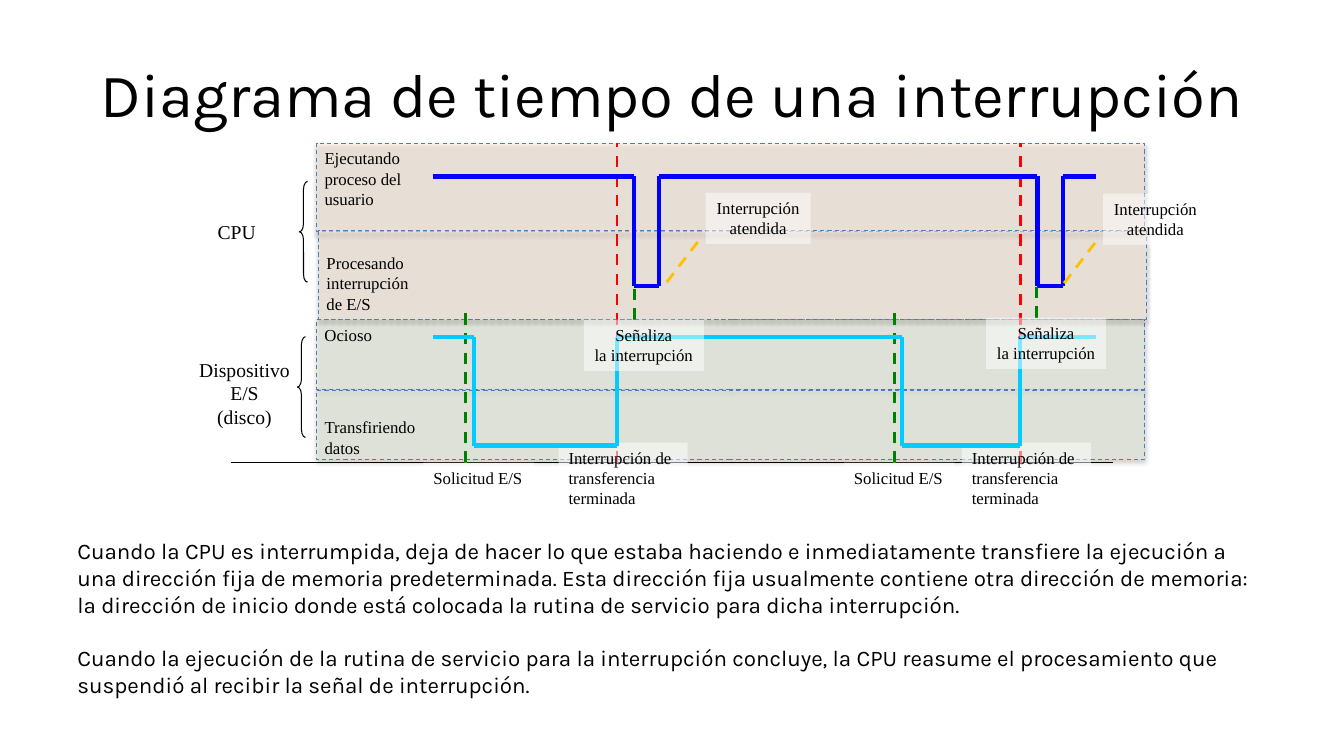
import itertools

import lxml.etree
import pptx
import pptx.dml.color
import pptx.enum.dml
import pptx.enum.shapes
import pptx.enum.text
import pptx.oxml.ns
import pptx.util

Inches = pptx.util.Inches
Pt = pptx.util.Pt
RGBColor = pptx.dml.color.RGBColor
DASH = pptx.enum.dml.MSO_LINE.DASH
ALIGN = pptx.enum.text.PP_ALIGN
qn = pptx.oxml.ns.qn

BLACK = RGBColor(0, 0, 0)
WHITE = RGBColor(0xFF, 0xFF, 0xFF)
BAND_LINE = RGBColor(0x4B, 0x7E, 0xBC)
CPU_BAND = RGBColor(0xFD, 0xEA, 0xDA)
DISK_BAND = RGBColor(0xEB, 0xF1, 0xDE)
CPU_SIGNAL = RGBColor(0, 0, 0xFF)
DISK_SIGNAL = RGBColor(0, 0xCC, 0xFF)
GREEN = RGBColor(0, 0x80, 0)
RED = RGBColor(0xFF, 0, 0)
AMBER = RGBColor(0xFF, 0xC0, 0)

TITLE_FONT = {"name": "Karla", "size": Pt(44)}
BODY_FONT = {"name": "Karla", "size": Pt(16)}
LABEL_FONT = {"name": "Times New Roman", "size": Pt(12)}
GROUP_FONT = {"name": "Times New Roman", "size": Pt(14)}

AXIS_Y = 4.59
CPU_HIGH, CPU_LOW = 1.75, 2.84
DISK_HIGH, DISK_LOW = 3.34, 4.42

BODY = [
    "Cuando la CPU es interrumpida, deja de hacer lo que estaba haciendo e "
    "inmediatamente transfiere la ejecución a una dirección fija de memoria "
    "predeterminada. Esta dirección fija usualmente contiene otra dirección de "
    "memoria: la dirección de inicio donde está colocada la rutina de servicio "
    "para dicha interrupción.",
    "Cuando la ejecución de la rutina de servicio para la interrupción concluye, "
    "la CPU reasume el procesamiento que suspendió al recibir la señal de "
    "interrupción.",
]


def fill_half(shape, color):
    """Fill a shape with a colour at 50 % opacity."""
    shape.fill.solid()
    shape.fill.fore_color.rgb = color
    tone = shape._element.spPr.find(qn("a:solidFill"))[0]
    lxml.etree.SubElement(tone, qn("a:alpha"), val="50000")


def add_soft_shadow(shape):
    shape.shadow.inherit = False
    effects = shape._element.spPr.find(qn("a:effectLst"))
    shadow = lxml.etree.SubElement(
        effects, qn("a:outerShdw"), blurRad=str(Pt(3.1)), dist=str(Pt(1.8)),
        dir="5400000", rotWithShape="0")
    tone = lxml.etree.SubElement(shadow, qn("a:srgbClr"), val="000000")
    lxml.etree.SubElement(tone, qn("a:alpha"), val="35000")


def add_band(page, left, top, height, color):
    band = page.shapes.add_shape(
        pptx.enum.shapes.MSO_SHAPE.RECTANGLE,
        Inches(left), Inches(top), Inches(8.21), Inches(height))
    fill_half(band, color)
    band.line.color.rgb = BAND_LINE
    band.line.width = Pt(0.75)
    band.line.dash_style = DASH
    add_soft_shadow(band)


def add_brace(page, left, top):
    brace = page.shapes.add_shape(
        pptx.enum.shapes.MSO_SHAPE.LEFT_BRACE,
        Inches(left), Inches(top), Inches(0.08), Inches(1))
    brace.adjustments[0] = 1
    brace.fill.background()
    brace.line.color.rgb = BLACK
    brace.line.width = Pt(0.75)
    brace.shadow.inherit = False


def add_line(page, start, end, color, width, dash=None):
    line = page.shapes.add_connector(
        pptx.enum.shapes.MSO_CONNECTOR.STRAIGHT,
        *(Inches(value) for value in start + end))
    line.line.color.rgb = color
    line.line.width = Pt(width)
    if dash:
        line.line.dash_style = dash
    lxml.etree.SubElement(line._element.spPr, qn("a:effectLst"))


def add_signal(page, points, color):
    for start, end in itertools.pairwise(points):
        add_line(page, start, end, color, 3)


def write(frame, lines, font, align=ALIGN.LEFT, gap=0):
    for index, text in enumerate(lines):
        para = frame.add_paragraph() if index else frame.paragraphs[0]
        para.alignment = align
        if index and gap:
            para.space_before = Pt(gap)
        span = para.add_run()
        span.text = text
        for key, value in font.items():
            setattr(span.font, key, value)
        span.font.color.rgb = BLACK


def add_label(page, place, lines, font=LABEL_FONT, align=ALIGN.LEFT, veil=False):
    """Add an unwrapped label, with a half-clear white ground if veil is set."""
    box = page.shapes.add_textbox(*(Inches(value) for value in place))
    if veil:
        fill_half(box, WHITE)
    box.text_frame.word_wrap = False
    box.text_frame.auto_size = pptx.enum.text.MSO_AUTO_SIZE.SHAPE_TO_FIT_TEXT
    write(box.text_frame, lines, font, align)


def add_title(page, text):
    title = page.shapes.title
    place = {"left": 0.67, "top": 0.3, "width": 12, "height": 1.25}
    for key, value in place.items():
        setattr(title, key, Inches(value))
    title.text_frame.vertical_anchor = pptx.enum.text.MSO_ANCHOR.MIDDLE
    write(title.text_frame, [text], TITLE_FONT, ALIGN.CENTER)


def add_explanation(page):
    box = page.shapes.add_textbox(
        Inches(0.67), Inches(5.28), Inches(12), Inches(1.72))
    box.text_frame.word_wrap = True
    write(box.text_frame, BODY, BODY_FONT, gap=19)


def add_frame(page):
    """Add the four state bands, the time axis and their names."""
    add_band(page, 3.14, 3.17, 0.69, DISK_BAND)
    add_band(page, 3.14, 3.87, 0.69, DISK_BAND)
    add_band(page, 3.14, 1.42, 0.88, CPU_BAND)
    add_band(page, 3.16, 2.29, 0.88, CPU_BAND)
    add_line(page, (2.29, AXIS_Y), (11.04, AXIS_Y), BLACK, 0.75)
    add_brace(page, 2.97, 1.8)
    add_brace(page, 2.95, 3.34)
    add_label(page, (2.06, 2.13, 0.58, 0.33), ["CPU"], GROUP_FONT)
    add_label(page, (1.87, 3.5, 1.11, 0.81),
              ["Dispositivo", "E/S", "(disco)"], GROUP_FONT, ALIGN.CENTER)
    for place, lines in (
        ((3.12, 1.42, 0.98, 0.71), ["Ejecutando", "proceso del", "usuario"]),
        ((3.14, 2.46, 1.07, 0.71), ["Procesando", "interrupción", "de E/S"]),
        ((3.12, 3.17, 0.67, 0.3), ["Ocioso"]),
        ((3.12, 4.09, 1.11, 0.5), ["Transfiriendo", "datos"]),
    ):
        add_label(page, place, lines)


def add_transfer_marks(page):
    for x, label_left in ((4.62, 4.2), (8.87, 8.37)):
        add_line(page, (x, AXIS_Y), (x, 3.09), GREEN, 2, DASH)
        add_label(page, (label_left, AXIS_Y, 1.1, 0.3), ["Solicitud E/S"], veil=True)
    for x in (6.12, 10.12):
        add_line(page, (x, AXIS_Y), (x, 1.42), RED, 2, DASH)
        add_label(page, (x - 0.58, 4.39, 1.28, 0.71),
                  ["Interrupción de", "transferencia", "terminada"], veil=True)


def add_signals(page):
    add_signal(page, [
        (4.29, CPU_HIGH), (4.62, CPU_HIGH), (6.29, CPU_HIGH), (6.29, CPU_LOW),
        (6.54, CPU_LOW), (6.54, CPU_HIGH), (8.95, CPU_HIGH), (10.29, CPU_HIGH),
        (10.29, CPU_LOW), (10.54, CPU_LOW), (10.54, CPU_HIGH), (10.87, CPU_HIGH),
    ], CPU_SIGNAL)
    add_signal(page, [
        (4.29, DISK_HIGH), (4.7, DISK_HIGH), (4.7, DISK_LOW), (6.12, DISK_LOW),
        (6.12, DISK_HIGH), (8.95, DISK_HIGH), (8.95, DISK_LOW),
        (10.12, DISK_LOW), (10.12, DISK_HIGH), (10.87, DISK_HIGH),
    ], DISK_SIGNAL)


def add_interrupt_marks(page):
    for x, y in ((6.29, 3.17), (10.28, 3.15)):
        add_line(page, (x, y), (x, y - 0.3), GREEN, 2, DASH)
        add_label(page, (x - 0.5, y, 1.19, 0.51),
                  ["Señaliza", "la interrupción"], align=ALIGN.CENTER, veil=True)
    for x, y in ((7, 1.91), (10.94, 1.92)):
        add_line(page, (x - 0.08, y + 0.49), (x - 0.41, y + 0.92), AMBER, 2, DASH)
        add_label(page, (x, y, 1.04, 0.51),
                  ["Interrupción", "atendida"], align=ALIGN.CENTER, veil=True)


def main():
    deck = pptx.Presentation()
    deck.slide_width = Inches(13.33)
    deck.slide_height = Inches(7.5)
    page = deck.slides.add_slide(deck.slide_layouts.get_by_name("Title Only"))
    add_title(page, "Diagrama de tiempo de una interrupción")
    add_frame(page)
    add_transfer_marks(page)
    add_signals(page)
    add_explanation(page)
    add_interrupt_marks(page)
    deck.save("out.pptx")


if __name__ == "__main__":
    main()
